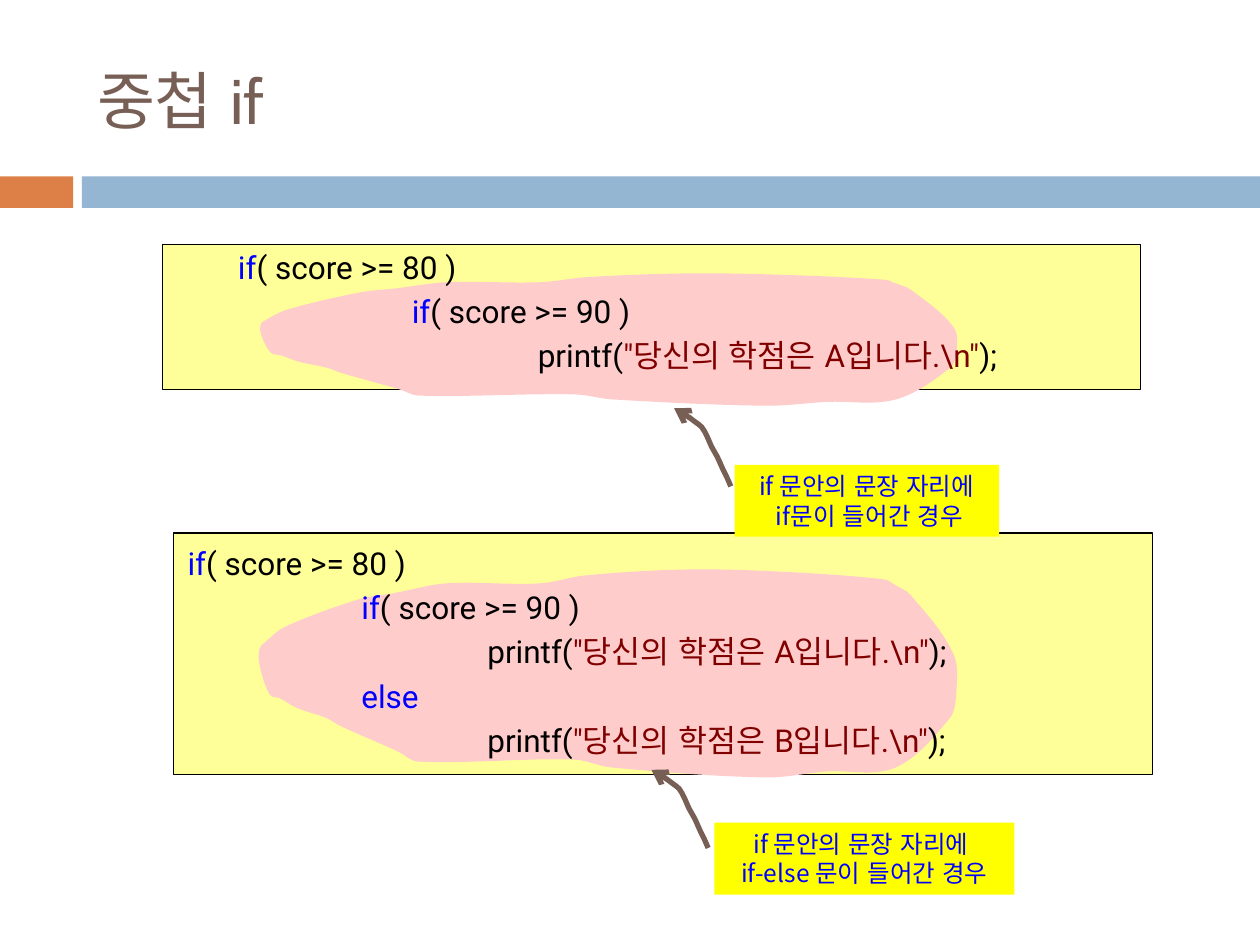
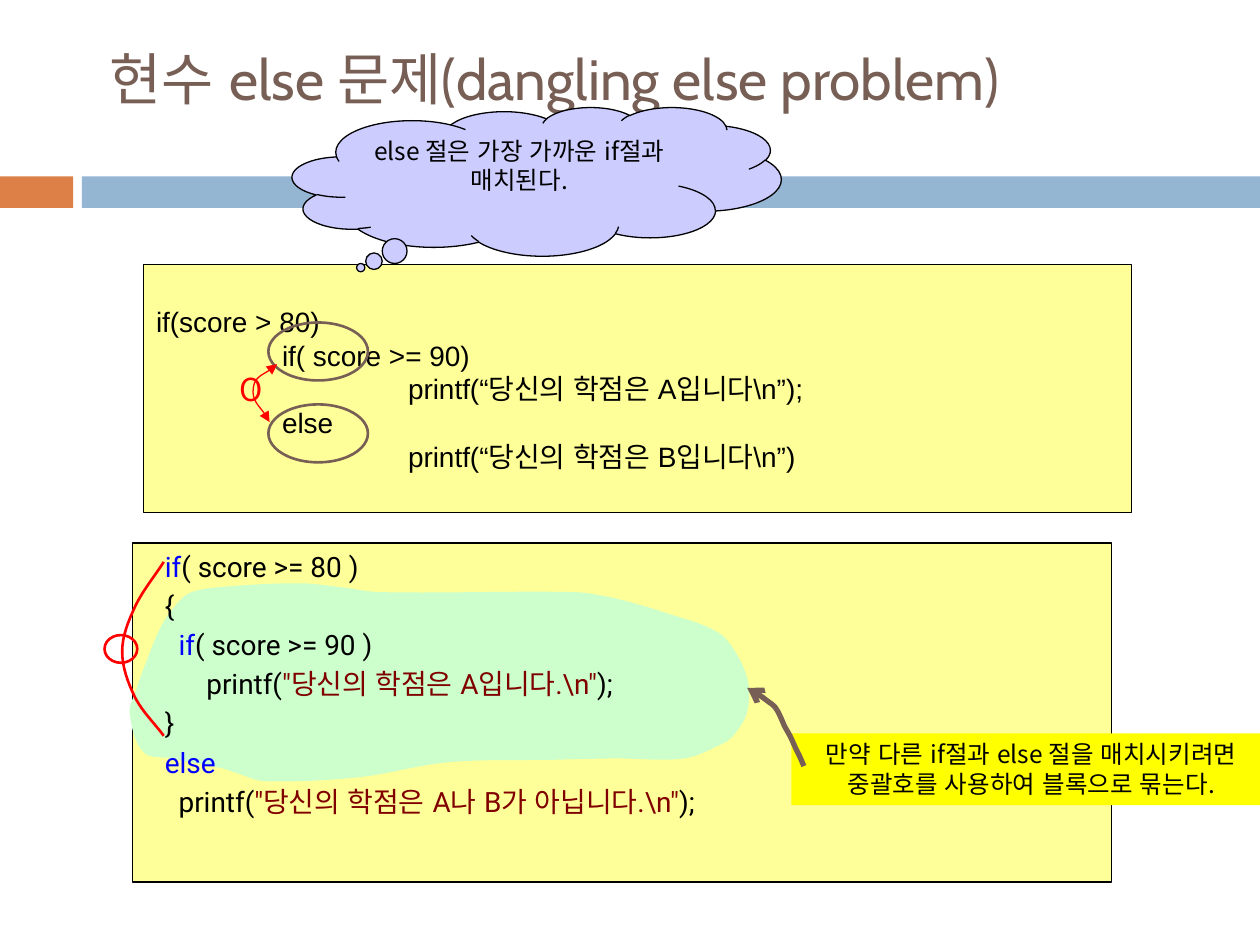
"""Build two slides on nested if statements and the dangling else problem."""

from dataclasses import dataclass
from math import dist
from typing import NamedTuple

from lxml.etree import SubElement
from pptx import Presentation
from pptx.dml.color import RGBColor
from pptx.enum.shapes import MSO_SHAPE
from pptx.enum.text import MSO_ANCHOR, MSO_AUTO_SIZE, PP_ALIGN
from pptx.oxml.ns import qn
from pptx.util import Pt

PX = 9144
LABEL_FONT = "Noto Sans CJK KR"
EAST_ASIAN_FONT = "Arial"
COLORS = {
    "title": "775F55",
    "orange": "DD8047",
    "band": "94B6D2",
    "code_box": "FFFF99",
    "pink": "FFCCCC",
    "green": "CCFFCC",
    "cloud": "CCCCFF",
    "label": "FFFF00",
    "keyword": "0000FF",
    "string": "800000",
    "black": "000000",
    "red": "FF0000",
}


class Box(NamedTuple):
    left: int
    top: int
    width: int
    height: int


class Span(NamedTuple):
    text: str
    color: str = "black"


class Line(NamedTuple):
    indent: int
    spans: tuple


@dataclass(frozen=True)
class TextStyle:
    font: str
    size: float
    align: PP_ALIGN = PP_ALIGN.LEFT
    anchor: MSO_ANCHOR = MSO_ANCHOR.TOP
    wrap: bool = True
    spaced: bool = False


@dataclass(frozen=True)
class Label:
    box: Box
    texts: tuple
    color: str
    arrow_tip: tuple
    wrap: bool = False


CODE_LARGE = TextStyle("Roboto", 18, spaced=True)
CODE_SMALL = TextStyle("Roboto", 16, spaced=True)
CODE_PLAIN = TextStyle("Arial", 16, anchor=MSO_ANCHOR.MIDDLE)
NOTE = TextStyle(LABEL_FONT, 14, PP_ALIGN.CENTER)
NOTE_UNWRAPPED = TextStyle(LABEL_FONT, 14, PP_ALIGN.CENTER, wrap=False)
MARK = TextStyle(LABEL_FONT, 18, wrap=False)

BANDS = ((Box(0, 140, 58, 25), "orange"), (Box(65, 140, 935, 25), "band"))

PINK_OUTLINE = (
    (4, 39), (20, 31), (79, 17), (106, 14), (148, 9), (222, 9), (258, 5), (337, 2),
    (410, 3), (495, 7), (504, 10), (516, 15), (550, 45), (552, 65), (547, 77), (504, 102),
    (449, 104), (401, 107), (279, 102), (249, 98), (125, 99), (110, 94), (64, 81),
    (53, 77), (30, 72), (16, 67), (8, 65), (0, 50), (0, 42),
)
GREEN_OUTLINE = (
    (188, 465), (152, 470), (139, 481), (128, 497), (117, 523), (108, 548), (103, 566),
    (114, 597), (137, 602), (151, 605), (177, 610), (189, 614), (210, 620), (284, 617),
    (356, 605), (441, 603), (488, 602), (543, 602), (572, 591), (582, 584), (593, 565),
    (593, 538), (577, 508), (560, 497), (530, 487), (511, 481), (484, 474), (456, 470),
    (302, 470), (270, 466), (240, 463),
)
ARROW_COURSE = (
    (45, 62), (42, 55), (39, 49), (34, 38), (30, 31), (26, 22),
    (22, 15), (17, 11), (13, 8), (8, 4), (0, 0),
)
MATCH_ARC = ((220, 289), (201, 308), (214, 335))
BRACE_ARC = ((130, 446), (107, 482), (97, 517), (107, 553), (130, 584))


def emu(box: Box) -> tuple:
    """Turn a box in px into EMU."""
    return tuple(length * PX for length in box)


def rgb(name: str) -> RGBColor:
    """Look up a named colour."""
    return RGBColor.from_string(COLORS[name])


def paint(shape, fill=None, line=None, width=0.75) -> None:
    """Set fill and line of a shape, and drop its shadow."""
    shape.shadow.inherit = False
    if fill:
        shape.fill.solid()
        shape.fill.fore_color.rgb = rgb(fill)
    else:
        shape.fill.background()
    if line:
        shape.line.color.rgb = rgb(line)
        shape.line.width = Pt(width)
    else:
        shape.line.fill.background()


def add_preset(slide, kind, box: Box, fill=None, line=None, width=0.75):
    """Add a painted preset shape."""
    shape = slide.shapes.add_shape(kind, *emu(box))
    paint(shape, fill, line, width)
    return shape


def format_run(run, style: TextStyle, color: str) -> None:
    """Give a run its fonts, size and colour."""
    run.font.size = Pt(style.size)
    run.font.color.rgb = rgb(color)
    run.font.name = style.font
    SubElement(run.font._element, qn("a:ea"), typeface=EAST_ASIAN_FONT)


def write_lines(shape, lines, style: TextStyle) -> None:
    """Fill a shape with indented lines of coloured spans."""
    frame = shape.text_frame
    frame.word_wrap = style.wrap
    frame.vertical_anchor = style.anchor
    for index, line in enumerate(lines):
        paragraph = frame.add_paragraph() if index else frame.paragraphs[0]
        paragraph.alignment = style.align
        paragraph.line_spacing = Pt(style.size * 1.2)
        paragraph.space_before = Pt(style.size * 0.2 if style.spaced else 0)
        properties = paragraph._p.get_or_add_pPr()
        properties.set("marL", str(line.indent * PX))
        properties.set("indent", "0")
        for span in line.spans:
            run = paragraph.add_run()
            run.text = span.text
            format_run(run, style, span.color)


def add_text(slide, box: Box, lines, style: TextStyle) -> None:
    """Add a text box."""
    write_lines(slide.shapes.add_textbox(*emu(box)), lines, style)


def handle(node, before, after, length: float) -> tuple:
    """Place a control point beside a node, along the line between its neighbours."""
    ratio = length / dist(before, after)
    return tuple(round(n + (a - b) * ratio) for n, b, a in zip(node, before, after))


def round_segments(shape, closed: bool) -> None:
    """Turn the straight segments of a freeform into smooth curves."""
    nodes = [(int(point.get("x")), int(point.get("y")))
             for point in shape._element.iter(qn("a:pt"))]
    first, last = (nodes[-2], nodes[1]) if closed else (nodes[0], nodes[-1])
    chain = [first, *nodes, last]
    segments = list(shape._element.iter(qn("a:lnTo")))
    for segment, before, start, end, after in zip(segments, chain, chain[1:], chain[2:], chain[3:]):
        length = dist(start, end) / 3
        controls = (handle(start, before, end, length), handle(end, after, start, length))
        segment.tag = qn("a:cubicBezTo")
        for index, (x, y) in enumerate(controls):
            segment.insert(index, segment.makeelement(qn("a:pt"), {"x": str(x), "y": str(y)}))


def add_curve(slide, points, closed: bool = False, **colors):
    """Add a smooth freeform outline."""
    (left, top), *rest = [(x * PX, y * PX) for x, y in points]
    builder = slide.shapes.build_freeform(left, top, scale=1.0)
    builder.add_line_segments([*rest, (left, top)] if closed else rest, close=closed)
    shape = builder.convert_to_shape()
    round_segments(shape, closed)
    paint(shape, **colors)
    return shape


def add_pink_area(slide, box: Box) -> None:
    """Add the pink area stretched to a box."""
    shape = add_curve(slide, PINK_OUTLINE, closed=True, fill="pink")
    shape.left, shape.top, shape.width, shape.height = emu(box)


def add_arrowheads(shape, kind: str, ends=("tailEnd",)) -> None:
    """Put arrowheads on the ends of a line."""
    line = shape.line._get_or_add_ln()
    SubElement(line, qn("a:round"))
    for end in ends:
        SubElement(line, qn(f"a:{end}"), type=kind)


def add_label(slide, label: Label) -> None:
    """Add a yellow label with its curved arrow."""
    shape = add_preset(slide, MSO_SHAPE.RECTANGLE, label.box, "label")
    lines = [plain(0, text, label.color) for text in label.texts]
    write_lines(shape, lines, NOTE if label.wrap else NOTE_UNWRAPPED)
    left, top = label.arrow_tip
    course = [(left + x, top + y) for x, y in ARROW_COURSE]
    add_arrowheads(add_curve(slide, course, line="title", width=3), "arrow")


def condition(indent: int, score: int) -> Line:
    """Compose an if line."""
    return Line(indent, (Span("if", "keyword"), Span(f"( score >= {score} )")))


def output(indent: int, message: str) -> Line:
    """Compose a printf line."""
    return Line(indent, (Span("printf("), Span(f'"{message}.\\n"', "string"), Span(");")))


def plain(indent: int, text: str, color: str = "black") -> Line:
    """Compose a line of one colour."""
    return Line(indent, (Span(text, color),))


def start_slide(presentation, title: str, box: Box, size: float):
    """Add a slide with its title and bands."""
    slide = presentation.slides.add_slide(presentation.slide_layouts[5])
    shape = slide.shapes.title
    shape.left, shape.top, shape.width, shape.height = emu(box)
    frame = shape.text_frame
    frame.text = title
    frame.auto_size = MSO_AUTO_SIZE.NONE
    frame.vertical_anchor = MSO_ANCHOR.MIDDLE
    paragraph = frame.paragraphs[0]
    paragraph.alignment = PP_ALIGN.LEFT
    format_run(paragraph.runs[0], TextStyle("Cabin", size), "title")
    for band, color in BANDS:
        add_preset(slide, MSO_SHAPE.RECTANGLE, band, color)
    return slide


def add_code_box(slide, box: Box):
    """Add a framed box for code."""
    return add_preset(slide, MSO_SHAPE.RECTANGLE, box, "code_box", "black")


def build_nested_if(presentation) -> None:
    """Build the slide on nested if."""
    slide = start_slide(presentation, "중첩 if", Box(67, 25, 892, 108), 36)
    add_code_box(slide, Box(129, 194, 776, 115))
    add_code_box(slide, Box(138, 423, 777, 192))
    add_pink_area(slide, Box(207, 217, 552, 105))
    add_text(slide, Box(129, 192, 776, 115), (
        condition(50, 80), condition(188, 90), output(288, "당신의 학점은 A입니다"),
    ), CODE_LARGE)
    add_pink_area(slide, Box(206, 452, 553, 165))
    add_text(slide, Box(139, 427, 777, 192), (
        condition(0, 80), condition(138, 90), output(238, "당신의 학점은 A입니다"),
        plain(138, "else", "keyword"), output(238, "당신의 학점은 B입니다"),
    ), CODE_LARGE)
    first = "if 문안의 문장 자리에"
    add_label(slide, Label(Box(583, 369, 210, 57), (first, " if문이 들어간 경우"),
                           "keyword", (535, 324)))
    add_label(slide, Label(Box(567, 653, 238, 57), (first + " ", "if-else 문이 들어간 경우"),
                           "keyword", (517, 611)))


def build_dangling_else(presentation) -> None:
    """Build the slide on the dangling else problem."""
    slide = start_slide(presentation, "현수 else 문제(dangling else problem)",
                        Box(77, 31, 900, 62), 32.4)
    add_code_box(slide, Box(105, 431, 777, 269))
    write_lines(add_code_box(slide, Box(114, 210, 784, 197)), (
        plain(0, "if(score > 80)"), plain(100, "if( score >= 90)"),
        plain(200, "printf(“당신의 학점은 A입니다\\n”);"), plain(100, "else"),
        plain(200, "printf(“당신의 학점은 B입니다\\n”)"),
    ), CODE_PLAIN)
    for top in (321, 256):
        add_preset(slide, MSO_SHAPE.OVAL, Box(213, top, 79, 46), line="title", width=1.5)
    match = add_curve(slide, MATCH_ARC, line="red")
    add_arrowheads(match, "triangle", ("headEnd", "tailEnd"))
    add_text(slide, Box(180, 289, 39, 40), (plain(0, "O", "red"),), MARK)
    cloud = add_preset(slide, MSO_SHAPE.CLOUD_CALLOUT, Box(232, 85, 388, 118), "cloud", "black")
    cloud.adjustments[0], cloud.adjustments[1] = -0.36, 0.58
    write_lines(cloud, (plain(0, "else 절은 가장 가까운 if절과 매치된다."),), NOTE)
    add_curve(slide, GREEN_OUTLINE, closed=True, fill="green")
    add_text(slide, Box(121, 431, 777, 269), (
        condition(0, 80), plain(0, "{"), condition(11, 90),
        output(33, "당신의 학점은 A입니다"), plain(0, "}"),
        plain(0, "else", "keyword"), output(11, "당신의 학점은 A나 B가 아닙니다"),
    ), CODE_SMALL)
    advice = "만약 다른 if절과 else 절을 매치시키려면 중괄호를 사용하여 블록으로 묶는다."
    add_label(slide, Label(Box(628, 582, 381, 57), (advice,), "black", (593, 546), wrap=True))
    add_curve(slide, BRACE_ARC, line="red", width=1.5)
    add_preset(slide, MSO_SHAPE.OVAL, Box(83, 504, 26, 22), line="red", width=1.5)


def main() -> None:
    """Build and save the presentation."""
    presentation = Presentation()
    presentation.slide_width, presentation.slide_height = 1000 * PX, 750 * PX
    build_nested_if(presentation)
    build_dangling_else(presentation)
    presentation.save("out.pptx")


if __name__ == "__main__":
    main()
